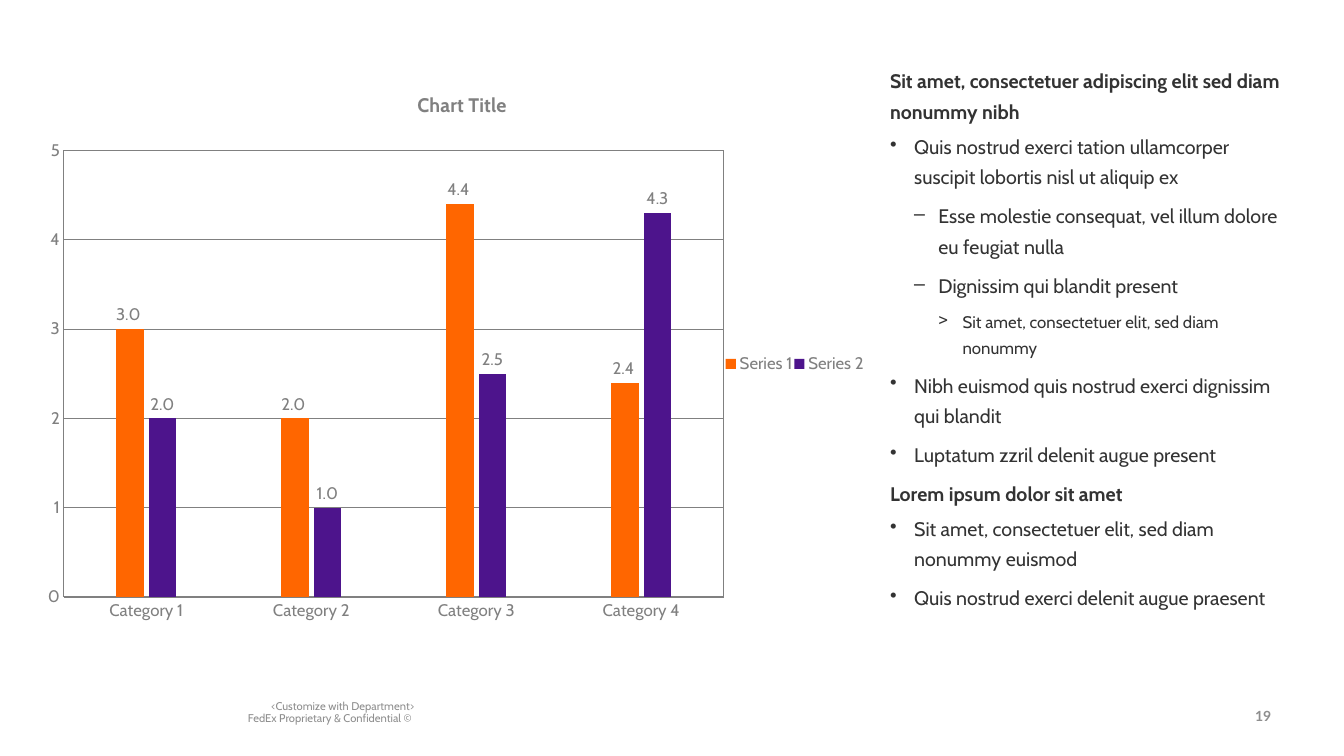
from lxml import etree
from pptx import Presentation
from pptx.chart.data import CategoryChartData
from pptx.dml.color import RGBColor
from pptx.enum.chart import XL_CHART_TYPE as CT, XL_LABEL_POSITION as LP
from pptx.enum.chart import XL_LEGEND_POSITION as LEG, XL_TICK_MARK as TM
from pptx.enum.text import PP_ALIGN as AL
from pptx.oxml import parse_xml
from pptx.oxml.ns import qn
from pptx.util import Cm, Pt

DARK = RGBColor(0x33, 0x33, 0x33)
GRAY = RGBColor(0x80, 0x80, 0x80)
FOOTER = RGBColor(0x8E, 0x8E, 0x8E)
ORANGE = RGBColor(0xFF, 0x66, 0x00)
PURPLE = RGBColor(0x4D, 0x14, 0x8C)
INDENT = Cm(0.61)


def write(p, text, size=14, bold=False, color=DARK, font="Cabin",
          align=AL.LEFT, spacing=1.0, after=0, bullet=None, level=0):
    p.alignment = align
    p.line_spacing = spacing
    p.space_before = Pt(0)
    p.space_after = Pt(after)
    if bullet:
        pPr = p._p.get_or_add_pPr()
        pPr.set("marL", str(INDENT * level))
        pPr.set("indent", str(-INDENT))
        etree.SubElement(pPr, qn("a:buChar")).set("char", bullet)
    p.text = text
    for r in p.runs:
        r.font.size = Pt(size)
        r.font.bold = bold
        r.font.name = font
        r.font.color.rgb = color


def place(parent, index, target=None, **sizes):
    for old in parent.findall(qn("c:layout")):
        parent.remove(old)
    layout = etree.Element(qn("c:layout"))
    manual = etree.SubElement(layout, qn("c:manualLayout"))
    if target:
        etree.SubElement(manual, qn("c:layoutTarget")).set("val", target)
    for axis in "xy":
        etree.SubElement(manual, qn(f"c:{axis}Mode")).set("val", "edge")
    for key, value in sizes.items():
        etree.SubElement(manual, qn(f"c:{key}")).set("val", str(value))
    parent.insert(index, layout)


prs = Presentation()
prs.slide_width, prs.slide_height = Cm(33.87), Cm(19.05)
s = prs.slides.add_slide(prs.slide_layouts[6])

BULLETS = {0: None, 1: "•", 2: "–", 3: ">"}
body = [
    (0, "Sit amet, consectetuer adipiscing elit sed diam nonummy nibh"),
    (1, "Quis nostrud exerci tation ullamcorper suscipit lobortis nisl ut aliquip ex"),
    (2, "Esse molestie consequat, vel illum dolore eu feugiat nulla"),
    (2, "Dignissim qui blandit present"),
    (3, "Sit amet, consectetuer elit, sed diam nonummy"),
    (1, "Nibh euismod quis nostrud exerci dignissim qui blandit"),
    (1, "Luptatum zzril delenit augue present"),
    (0, "Lorem ipsum dolor sit amet"),
    (1, "Sit amet, consectetuer elit, sed diam nonummy euismod"),
    (1, "Quis nostrud exerci delenit augue praesent"),
]
tf = s.shapes.add_textbox(Cm(22.43), Cm(1.57), Cm(9.86), Cm(15.14)).text_frame
tf.word_wrap = True
tf.margin_left = tf.margin_right = tf.margin_top = tf.margin_bottom = 0
for i, (level, text) in enumerate(body):
    p = tf.add_paragraph() if i else tf.paragraphs[0]
    write(p, text, size=12 if level == 3 else 14, bold=level == 0, spacing=1.3,
          after=6 if level else 3, bullet=BULLETS[level], level=level)

footers = [
    ("19", (27.74, 17.7, 4.55, 0.61), dict(size=10, bold=True, font="Lato")),
    ("<Customize with Department>\vFedEx Proprietary & Confidential © ",
     (4.98, 17.53, 5.72, 1.35), dict(size=8, spacing=0.9)),
]
for text, box, style in footers:
    tf = s.shapes.add_textbox(*map(Cm, box)).text_frame
    tf.word_wrap = True
    write(tf.paragraphs[0], text, color=FOOTER, align=AL.RIGHT, **style)

data = CategoryChartData()
data.categories = [f"Category {n}" for n in range(1, 5)]
data.add_series("Series 1", (3, 2, 4.4, 2.4))
data.add_series("Series 2", (2, 1, 2.5, 4.3))
chart = s.shapes.add_chart(CT.COLUMN_CLUSTERED, Cm(0.38), Cm(1.6),
                           Cm(22.33), Cm(15.14), data).chart
chart.font.size = Pt(12)
chart.font.name = "Cabin"
chart.font.color.rgb = GRAY

chart.has_title = True
write(chart.chart_title.text_frame.paragraphs[0], "Chart Title",
      bold=True, color=GRAY, align=AL.CENTER)
place(chart.chart_title._element, 1, x=0.45, y=0.04)

chart.has_legend = True
chart.legend.position = LEG.RIGHT
chart.legend.include_in_layout = False
place(chart.legend._element, 1, x=0.8, y=0.48, w=0.16, h=0.04)

for axis in (chart.category_axis, chart.value_axis):
    axis.major_tick_mark = axis.minor_tick_mark = TM.NONE
    axis.format.line.color.rgb = GRAY
    axis.format.line.width = Pt(0.75)
value_axis = chart.value_axis
value_axis.minimum_scale, value_axis.maximum_scale = 0, 5
value_axis.major_unit = 1
value_axis.has_major_gridlines = True
value_axis.major_gridlines.format.line.color.rgb = GRAY
value_axis.major_gridlines.format.line.width = Pt(0.5)

plot = chart.plots[0]
plot.gap_width, plot.overlap = 380, -16
plot.vary_by_categories = False
formats = (r"#,##0.0_);[Red]\(#,##0.0\)", "#,##0.0")
for series, color, number_format in zip(plot.series, (ORANGE, PURPLE), formats):
    series.format.fill.solid()
    series.format.fill.fore_color.rgb = color
    labels = series.data_labels
    labels.show_value = True
    labels.position = LP.OUTSIDE_END
    labels.number_format = number_format
    labels.number_format_is_linked = False

plot_area = chart._chartSpace.find(".//" + qn("c:plotArea"))
place(plot_area, 0, "inner", x=0.055, y=0.145, w=0.745, h=0.743)
plot_area.append(parse_xml(
    '<c:spPr xmlns:c="http://schemas.openxmlformats.org/drawingml/2006/chart"'
    ' xmlns:a="http://schemas.openxmlformats.org/drawingml/2006/main"><a:noFill/>'
    f'<a:ln w="{Pt(0.75)}"><a:solidFill><a:srgbClr val="{GRAY}"/></a:solidFill></a:ln>'
    '</c:spPr>'))

prs.save("out.pptx")
